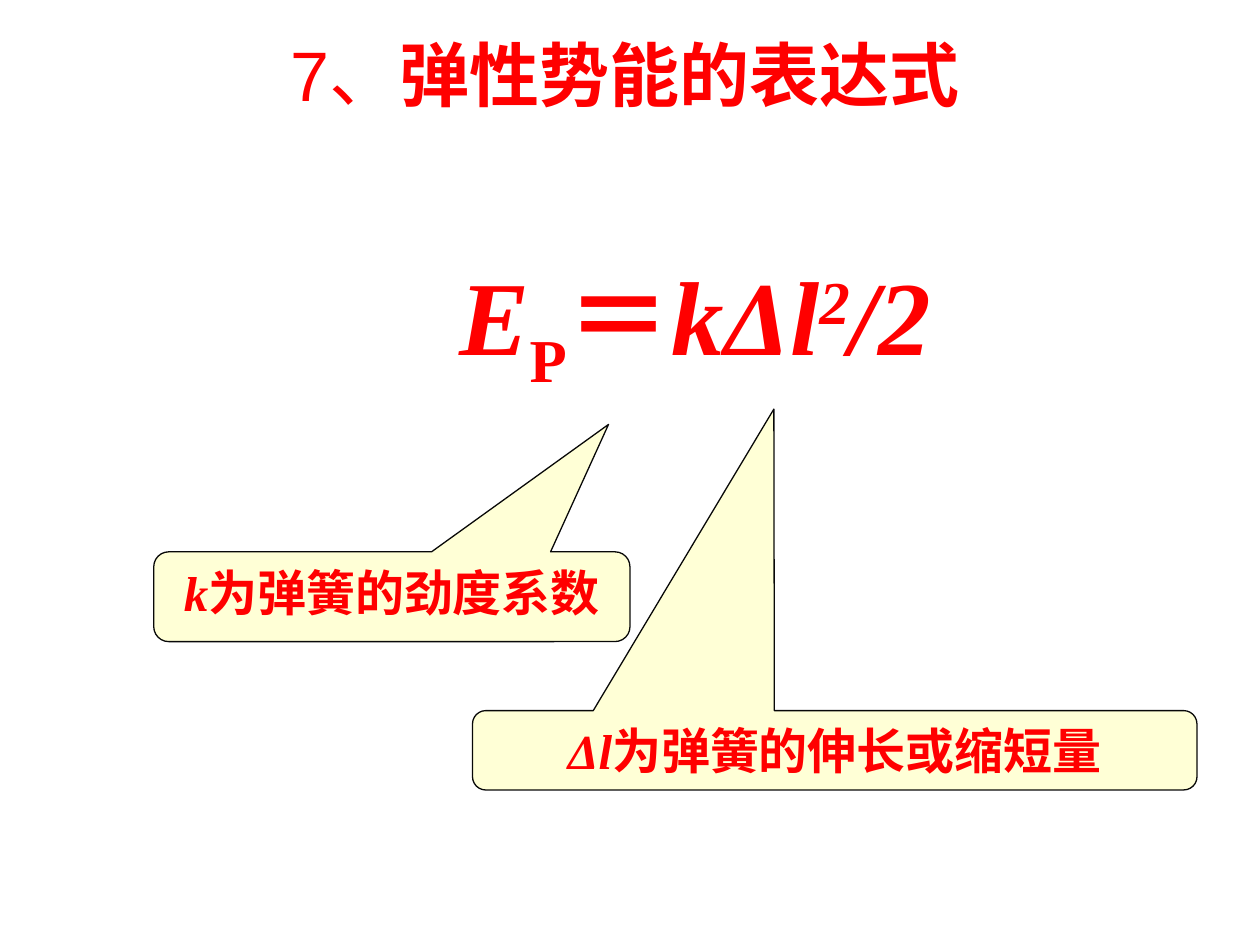
from dataclasses import dataclass

from lxml.etree import SubElement
from pptx import Presentation
from pptx.dml.color import RGBColor
from pptx.enum.shapes import MSO_SHAPE
from pptx.enum.text import MSO_ANCHOR, MSO_AUTO_SIZE, PP_ALIGN
from pptx.oxml.ns import qn
from pptx.shapes.autoshape import Shape
from pptx.slide import Slide
from pptx.util import Inches, Pt


@dataclass(frozen=True)
class Theme:
    text: RGBColor = RGBColor(0xFF, 0x00, 0x00)
    callout: RGBColor = RGBColor(0xFF, 0xFF, 0xCC)
    outline: RGBColor = RGBColor(0x08, 0x08, 0x08)
    callout_opacity: int = 80
    outline_width: float = 0.75
    title_size: int = 40
    formula_size: int = 60
    callout_size: int = 28
    sans: str = "Arial"
    serif: str = "Times New Roman"
    chinese: str = "Noto Sans CJK SC"


@dataclass(frozen=True)
class Span:
    text: str
    bold: bool = True
    italic: bool = False
    baseline: int = 0  # percent above or below the line


@dataclass(frozen=True)
class Area:
    """A rectangle given as shares of the slide's size."""
    left: float
    top: float
    width: float
    height: float


@dataclass(frozen=True)
class Callout:
    area: Area
    tip: tuple[float, float]  # offset from the centre, in shares of the box
    spans: tuple[Span, ...]


THEME = Theme()
SLIDE_WIDTH, SLIDE_HEIGHT = Inches(10), Inches(7.5)
CORNER = 0.167

TITLE_AREA = Area(0.1, 0.044, 0.792, 0.11)
TITLE = (Span("7、", bold=False), Span("弹性势能的表达式"))

FORMULA_AREA = Area(0.195, 0.259, 0.714, 0.147)
FORMULA = (
    Span("E", italic=True),
    Span("P", baseline=-25),
    Span("＝"),
    Span("kΔl", italic=True),
    Span("2", italic=True, baseline=30),
    Span("/2", italic=True),
)

CALLOUTS = (
    Callout(Area(0.122, 0.584, 0.378, 0.095), (0.455, -1.919),
            (Span("k", italic=True), Span("为弹簧的劲度系数"))),
    Callout(Area(0.375, 0.752, 0.575, 0.084), (-0.084, -4.299),
            (Span("Δl", italic=True), Span("为弹簧的伸长或缩短量"))),
)


def place(area: Area) -> tuple[int, int, int, int]:
    return (int(area.left * SLIDE_WIDTH), int(area.top * SLIDE_HEIGHT),
            int(area.width * SLIDE_WIDTH), int(area.height * SLIDE_HEIGHT))


def write(box: Shape, spans: tuple[Span, ...], size: int, latin: str,
          line_spacing: float = 1.0) -> None:
    """Fill a box with one centred paragraph of differently styled spans."""
    frame = box.text_frame
    frame.word_wrap = True
    frame.auto_size = MSO_AUTO_SIZE.NONE
    frame.vertical_anchor = MSO_ANCHOR.TOP
    para = frame.paragraphs[0]
    para.alignment = PP_ALIGN.CENTER
    para.line_spacing = line_spacing
    for span in spans:
        run = para.add_run()
        run.text = span.text
        font = run.font
        font.size, font.name = Pt(size), latin
        font.bold, font.italic = span.bold, span.italic
        font.color.rgb = THEME.text
        properties = run._r.get_or_add_rPr()
        SubElement(properties, qn("a:ea"), typeface=THEME.chinese)
        if span.baseline:
            properties.set("baseline", str(span.baseline * 1000))


def add_callout(page: Slide, callout: Callout) -> None:
    box = page.shapes.add_shape(MSO_SHAPE.ROUNDED_RECTANGULAR_CALLOUT, *place(callout.area))
    for index, value in enumerate((*callout.tip, CORNER)):
        box.adjustments[index] = value
    box.shadow.inherit = False
    box.fill.solid()
    box.fill.fore_color.rgb = THEME.callout
    color = box._element.spPr.find(qn("a:solidFill"))[0]
    SubElement(color, qn("a:alpha"), val=str(THEME.callout_opacity * 1000))
    box.line.color.rgb = THEME.outline
    box.line.width = Pt(THEME.outline_width)
    write(box, callout.spans, THEME.callout_size, THEME.serif)


def main() -> None:
    deck = Presentation()
    deck.slide_width, deck.slide_height = SLIDE_WIDTH, SLIDE_HEIGHT
    page = deck.slides.add_slide(deck.slide_layouts.get_by_name("Title Only"))

    # Title
    title = page.shapes.title
    title.left, title.top, title.width, title.height = place(TITLE_AREA)
    write(title, TITLE, THEME.title_size, THEME.sans, line_spacing=0.8)

    # Formula
    formula = page.shapes.add_textbox(*place(FORMULA_AREA))
    write(formula, FORMULA, THEME.formula_size, THEME.serif)

    # Explanations of the symbols
    for callout in CALLOUTS:
        add_callout(page, callout)

    deck.save("out.pptx")


if __name__ == "__main__":
    main()
